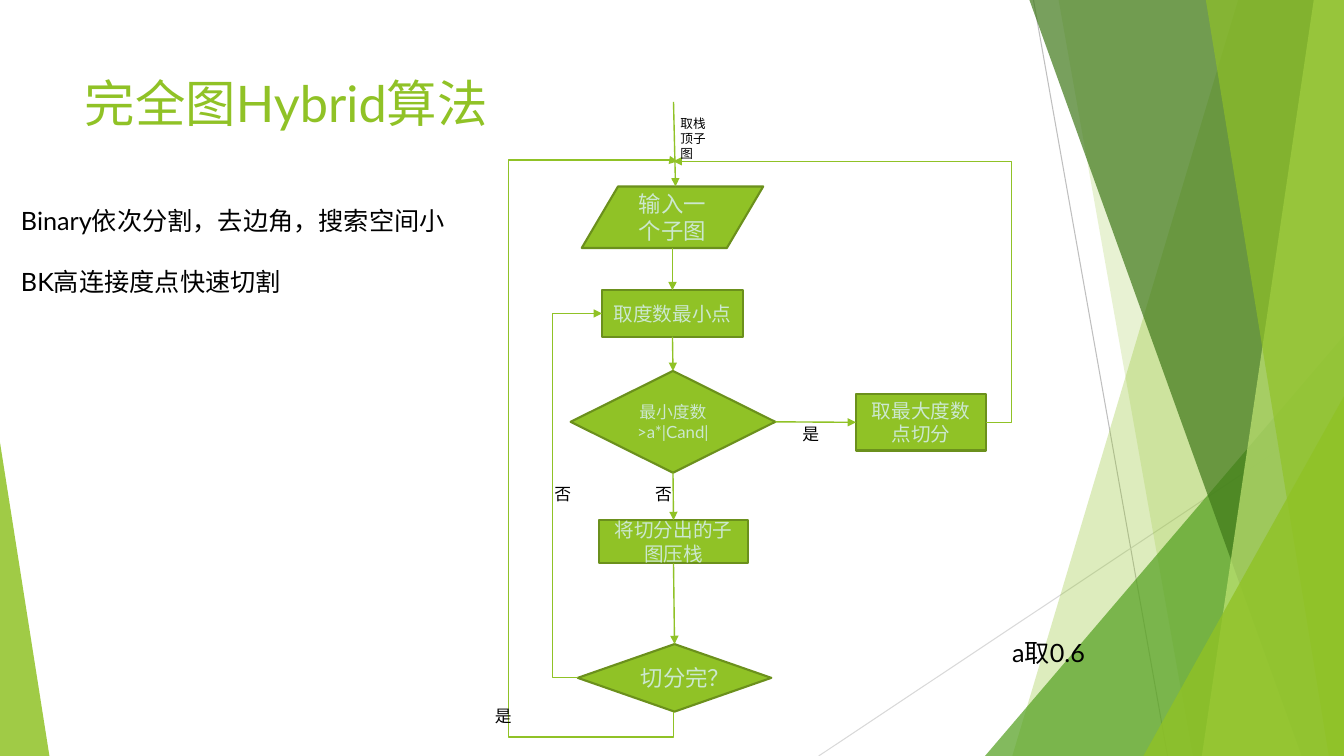
from dataclasses import dataclass
from typing import Optional

from lxml.etree import SubElement as Sub
from pptx import Presentation
from pptx.dml.color import RGBColor as Color
from pptx.enum.shapes import MSO_CONNECTOR as Link, MSO_SHAPE as Form
from pptx.enum.text import MSO_ANCHOR as Anchor, MSO_AUTO_SIZE as Fit, PP_ALIGN as Align
from pptx.oxml.ns import qn
from pptx.util import Inches, Pt


@dataclass(frozen=True)
class Theme:
    font: str = "Lato"
    back: str = "FFFFFF"
    green: str = "90C226"
    edge: str = "6B901C"
    pale: str = "CCE8CF"
    ink: str = "000000"
    leaf: str = "54A021"
    dark: str = "3F7819"
    lime: str = "C0E474"
    gray: str = "BFBFBF"
    mist: str = "D9D9D9"
    head: int = 36
    body: int = 18
    large: int = 16
    mid: int = 14
    small: int = 12
    tiny: int = 9


LOOK = Theme()
WIDE, HIGH = 13.33, 7.5


@dataclass(frozen=True)
class Band:
    top: float
    base: float
    color: str
    alpha: int


@dataclass(frozen=True)
class Wedge:
    left: float
    top: float
    width: float
    tip: float
    color: str
    alpha: int


@dataclass(frozen=True)
class Node:
    name: str
    form: Form
    box: tuple[float, float, float, float]
    text: str
    size: int


@dataclass(frozen=True)
class Arrow:
    start: tuple[float, float]
    end: tuple[float, float]
    source: Optional[tuple[str, int]] = None
    goal: Optional[tuple[str, int]] = None


@dataclass(frozen=True)
class Elbow:
    start: tuple[float, float]
    end: tuple[float, float]
    bends: tuple[float, ...]
    turn: int = 0


@dataclass(frozen=True)
class Note:
    box: tuple[float, float, float, float]
    lines: tuple[str, ...]
    size: int


BANDS = [
    Band(12.28, 10.04, LOOK.green, 30),
    Band(10.5, 11.83, LOOK.green, 20),
    Wedge(9.77, 3.33, 3.56, 1, LOOK.leaf, 72),
    Band(10.21, 12.91, LOOK.dark, 70),
    Band(13.03, 11.92, LOOK.lime, 70),
    Band(11.96, 13.18, LOOK.green, 65),
    Wedge(11.34, 3.93, 1.99, 1, LOOK.green, 80),
    Wedge(0, 4.39, 0.49, 0, LOOK.green, 85),
]
NODES = [
    Node("pick", Form.FLOWCHART_PROCESS, (5.97, 2.88, 1.4, 0.46), "取度数最小点", LOOK.mid),
    Node("test", Form.FLOWCHART_DECISION, (5.66, 3.68, 2.03, 1.01), "最小度数>a*|Cand|", LOOK.small),
    Node("split", Form.FLOWCHART_PROCESS, (8.49, 3.91, 1.29, 0.56), "取最大度数点切分", LOOK.mid),
    Node("input", Form.FLOWCHART_DATA, (5.77, 1.85, 1.8, 0.61), "输入一个子图", LOOK.large),
    Node("push", Form.FLOWCHART_PROCESS, (5.94, 5.16, 1.48, 0.43), "将切分出的子图压栈", LOOK.mid),
    Node("done", Form.FLOWCHART_DECISION, (5.73, 6.39, 1.92, 0.67), "切分完？", LOOK.large),
]
ARROWS = [
    Arrow((6.68, 1.01), (6.7, 1.85)),
    Arrow((6.67, 2.46), (6.67, 2.88), None, ("pick", 0)),
    Arrow((6.67, 3.34), (6.68, 3.68), ("pick", 2), ("test", 0)),
    Arrow((6.68, 4.69), (6.68, 5.16), ("test", 2), ("push", 0)),
    Arrow((6.68, 5.58), (6.68, 6.39), ("push", 2), ("done", 0)),
    Arrow((7.7, 4.19), (8.49, 4.19), ("test", 3), ("split", 1)),
]
ELBOWS = [
    Elbow((9.43, 4.35), (3.97, 4.31), (-0.046, -40.75, 1.002), 90),
    Elbow((9.78, 4.19), (6.68, 1.6), (-0.081,)),
    Elbow((5.73, 6.72), (5.97, 3.11), (-1.031,)),
]
NOTES = [
    Note((6.65, 1.1, 0.51, 0.56), ("取栈顶子图",), LOOK.tiny),
    Note((7.86, 4.15, 0.67, 0.3), ("是",), LOOK.small),
    Note((6.4, 4.75, 0.59, 0.3), ("否",), LOOK.small),
    Note((5.4, 4.75, 0.31, 0.3), ("否",), LOOK.small),
    Note((4.81, 6.95, 0.58, 0.3), ("是",), LOOK.small),
    Note((9.94, 6.27, 2.17, 0.4), ("a取0.6",), LOOK.body),
    Note((0.11, 1.99, 4.71, 1.01), ("Binary依次分割，去边角，搜索空间小", "BK高连接度点快速切割"), LOOK.body),
]


def scale(nums) -> list:
    return [Inches(num) for num in nums]


def write(para, text: str, size: int, color: str) -> None:
    run = para.add_run()
    run.text = text
    run.font.name = LOOK.font
    run.font.size = Pt(size)
    run.font.color.rgb = Color.from_string(color)


def paint(shape, color: str, alpha: int = 100) -> None:
    shape.shadow.inherit = False
    shape.fill.solid()
    shape.fill.fore_color.rgb = Color.from_string(color)
    if alpha < 100:
        tint = shape.fill._xPr.find(qn("a:solidFill"))[0]
        Sub(tint, qn("a:alpha"), val=str(alpha * 1000))


def draw_band(slide, band: Band) -> None:
    pen = slide.shapes.build_freeform(Inches(band.top), 0)
    pen.add_line_segments([scale(spot) for spot in ((WIDE, 0), (WIDE, HIGH), (band.base, HIGH))])
    shape = pen.convert_to_shape()
    paint(shape, band.color, band.alpha)
    shape.line.fill.background()


def draw_wedge(slide, wedge: Wedge) -> None:
    box = scale((wedge.left, wedge.top, wedge.width, HIGH - wedge.top))
    shape = slide.shapes.add_shape(Form.ISOSCELES_TRIANGLE, *box)
    shape.adjustments[0] = wedge.tip
    paint(shape, wedge.color, wedge.alpha)
    shape.line.fill.background()


def draw_node(slide, node: Node):
    shape = slide.shapes.add_shape(node.form, *scale(node.box))
    paint(shape, LOOK.green)
    shape.line.color.rgb = Color.from_string(LOOK.edge)
    shape.line.width = Pt(1.5)
    frame = shape.text_frame
    frame.word_wrap = True
    frame.vertical_anchor = Anchor.MIDDLE
    frame.paragraphs[0].alignment = Align.CENTER
    write(frame.paragraphs[0], node.text, node.size, LOOK.pale)
    return shape


def draw_line(slide, kind: Link, start, end, color: str = LOOK.green, width: float = 1, head: bool = True):
    line = slide.shapes.add_connector(kind, *scale((*start, *end)))
    line.line.color.rgb = Color.from_string(color)
    line.line.width = Pt(width)
    if head:
        Sub(line.line._get_or_add_ln(), qn("a:tailEnd"), type="triangle")
    Sub(line._element.spPr, qn("a:effectLst"))
    return line


def draw_arrow(slide, arrow: Arrow, nodes: dict) -> None:
    line = draw_line(slide, Link.STRAIGHT, arrow.start, arrow.end)
    if arrow.source:
        line.begin_connect(nodes[arrow.source[0]], arrow.source[1])
    if arrow.goal:
        line.end_connect(nodes[arrow.goal[0]], arrow.goal[1])


def draw_elbow(slide, elbow: Elbow) -> None:
    props = draw_line(slide, Link.ELBOW, elbow.start, elbow.end)._element.spPr
    shape = props.find(qn("a:prstGeom"))
    shape.set("prst", f"bentConnector{len(elbow.bends) + 2}")
    guides = shape.find(qn("a:avLst"))
    for rank, bend in enumerate(elbow.bends, 1):
        Sub(guides, qn("a:gd"), name=f"adj{rank}", fmla=f"val {round(bend * 100000)}")
    if elbow.turn:
        props.find(qn("a:xfrm")).set("rot", str(elbow.turn * 60000))


def draw_note(slide, note: Note) -> None:
    frame = slide.shapes.add_textbox(*scale(note.box)).text_frame
    frame.word_wrap = True
    frame.auto_size = Fit.SHAPE_TO_FIT_TEXT
    for rank, text in enumerate(note.lines):
        para = frame.add_paragraph() if rank else frame.paragraphs[0]
        para.space_before = Pt(22 if rank else 0)
        write(para, text, note.size, LOOK.ink)


def draw_title(slide, text: str) -> None:
    title = slide.shapes.title
    title.left, title.top, title.width, title.height = scale((0.74, 0.67, 9.4, 1.44))
    frame = title.text_frame
    frame.word_wrap = True
    frame.auto_size = Fit.NONE
    frame.vertical_anchor = Anchor.TOP
    frame.paragraphs[0].alignment = Align.LEFT
    write(frame.paragraphs[0], text, LOOK.head, LOOK.green)


def main() -> None:
    deck = Presentation()
    deck.slide_width, deck.slide_height = scale((WIDE, HIGH))
    slide = deck.slides.add_slide(deck.slide_layouts[5])
    slide.background.fill.solid()
    slide.background.fill.fore_color.rgb = Color.from_string(LOOK.back)
    draw_line(slide, Link.STRAIGHT, (10.25, 0), (11.58, HIGH), LOOK.gray, 0.75, False)
    draw_line(slide, Link.STRAIGHT, (WIDE, 4.03), (8.12, HIGH), LOOK.mist, 0.75, False)
    for item in BANDS:
        (draw_band if isinstance(item, Band) else draw_wedge)(slide, item)
    draw_title(slide, "完全图Hybrid算法")
    nodes = {node.name: draw_node(slide, node) for node in NODES}
    for elbow in ELBOWS:
        draw_elbow(slide, elbow)
    for arrow in ARROWS:
        draw_arrow(slide, arrow, nodes)
    for note in NOTES:
        draw_note(slide, note)
    deck.save("out.pptx")


if __name__ == "__main__":
    main()
